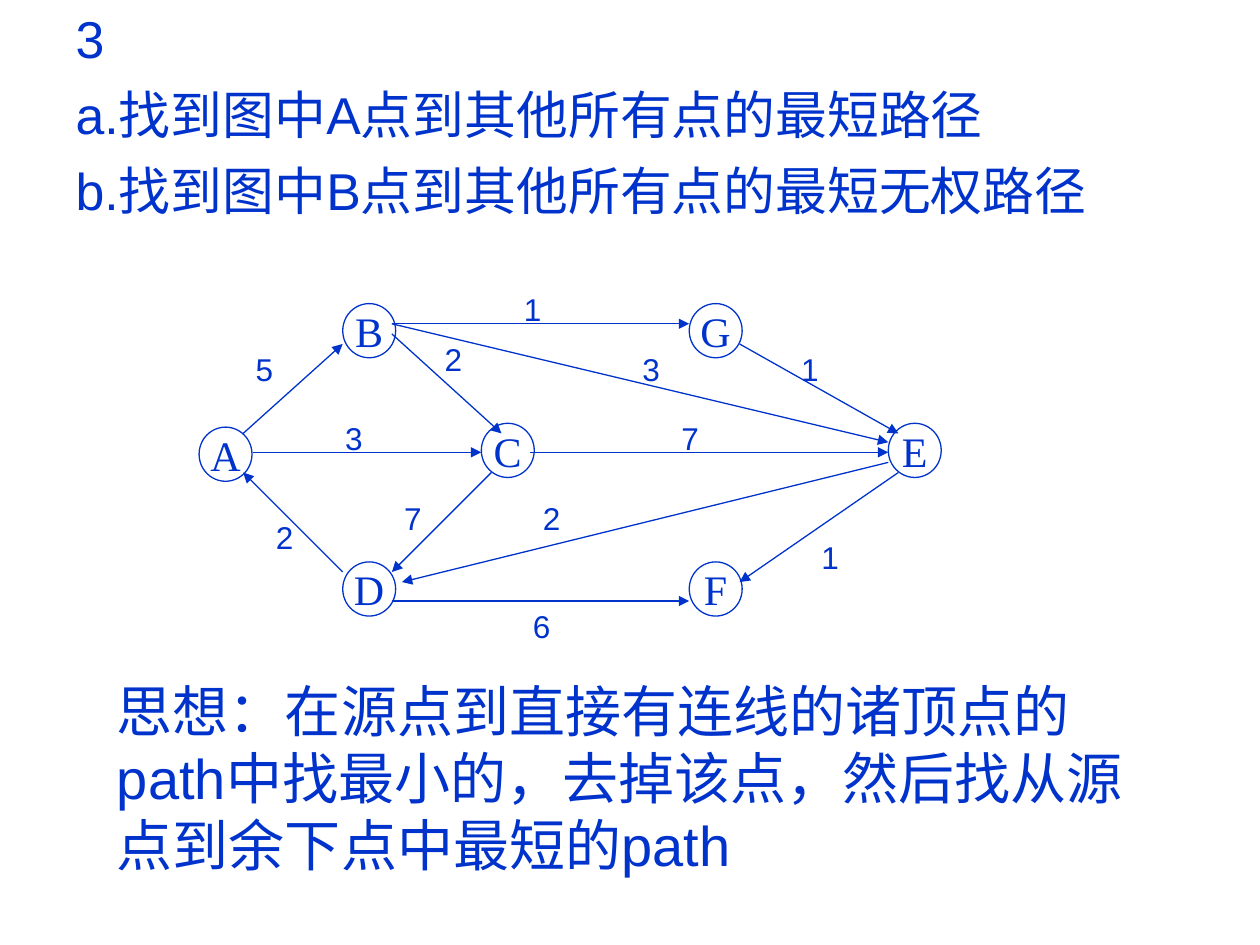
from lxml import etree
from pptx import Presentation
from pptx.dml.color import RGBColor
from pptx.enum.shapes import MSO_CONNECTOR, MSO_SHAPE
from pptx.enum.text import MSO_ANCHOR, MSO_AUTO_SIZE, PP_ALIGN
from pptx.oxml.ns import qn
from pptx.util import Inches, Pt

BLUE = RGBColor(0x00, 0x33, 0xCC)
NODE_WIDTH, NODE_HEIGHT = 0.42, 0.43


def add_text(paragraph, text, size, font="Arial"):
    run = paragraph.add_run()
    run.text = text
    run.font.size = Pt(size)
    run.font.name = font
    run.font.color.rgb = BLUE


def add_text_box(shapes, left, top, width, height, text, size):
    frame = shapes.add_textbox(
        Inches(left), Inches(top), Inches(width), Inches(height)
    ).text_frame
    frame.word_wrap = True
    add_text(frame.paragraphs[0], text, size)


prs = Presentation()
prs.slide_width, prs.slide_height = Inches(10), Inches(7.5)
slide = prs.slides.add_slide(prs.slide_layouts[1])
shapes = slide.shapes
title = shapes.title.element
title.getparent().remove(title)

# Questions
questions = slide.placeholders[1]
questions.left, questions.top = Inches(0.5), Inches(0)
questions.width, questions.height = Inches(9), Inches(2.02)
frame = questions.text_frame
frame.auto_size = MSO_AUTO_SIZE.NONE
frame.vertical_anchor = MSO_ANCHOR.TOP
for i, question in enumerate([
    "3",
    "a.找到图中A点到其他所有点的最短路径",
    "b.找到图中B点到其他所有点的最短无权路径",
]):
    paragraph = frame.add_paragraph() if i else frame.paragraphs[0]
    properties = paragraph._p.get_or_add_pPr()
    properties.set("marL", str(Inches(0.38)))
    properties.set("indent", str(Inches(-0.38)))
    etree.SubElement(properties, qn("a:buNone"))
    paragraph.space_before = Pt(8 if i else 0)
    add_text(paragraph, question, 29.6)

# Graph vertices: left, top
vertices = {
    "A": (1.58, 3.39),
    "B": (2.72, 2.41),
    "D": (2.72, 4.46),
    "G": (5.47, 2.41),
    "F": (5.47, 4.46),
    "C": (3.82, 3.36),
    "E": (7.05, 3.36),
}
for letter, (left, top) in vertices.items():
    vertex = shapes.add_shape(
        MSO_SHAPE.OVAL, Inches(left), Inches(top), Inches(NODE_WIDTH), Inches(NODE_HEIGHT)
    )
    vertex.shadow.inherit = False
    vertex.fill.background()
    vertex.line.color.rgb = BLUE
    vertex.line.width = Pt(0.75)
    frame = vertex.text_frame
    frame.word_wrap = False
    frame.vertical_anchor = MSO_ANCHOR.MIDDLE
    frame.paragraphs[0].alignment = PP_ALIGN.CENTER
    add_text(frame.paragraphs[0], letter, 24, "Times New Roman")

# Directed edges: start, end, weight, weight position, weight box width
edges = [
    ((1.93, 3.44), (2.72, 2.73), "5", (1.93, 2.73), 0.31),
    ((2.72, 4.54), (1.93, 3.75), "2", (2.09, 4.06), 0.39),
    ((2.01, 3.59), (3.82, 3.59), "3", (2.64, 3.28), 0.55),
    ((3.11, 2.65), (3.98, 3.44), "2", (3.43, 2.65), 0.39),
    ((3.90, 3.75), (3.11, 4.54), "7", (3.11, 3.91), 0.32),
    ((4.21, 3.59), (7.05, 3.59), "7", (5.31, 3.28), 0.71),
    ((3.11, 2.57), (5.47, 2.57), "1", (4.06, 2.25), 0.55),
    ((5.87, 2.73), (7.13, 3.44), "1", (6.26, 2.73), 0.55),
    ((3.11, 2.57), (7.05, 3.51), "3", (5.00, 2.73), 0.31),
    ((3.11, 4.77), (5.47, 4.77), "6", (4.13, 4.77), 1.02),
    ((7.05, 3.67), (3.19, 4.62), "2", (4.21, 3.91), 0.55),
    ((7.13, 3.75), (5.87, 4.62), "1", (6.42, 4.22), 0.47),
]
for start, end, weight, (left, top), width in edges:
    edge = shapes.add_connector(
        MSO_CONNECTOR.STRAIGHT, *[Inches(value) for value in start + end]
    )
    edge.line.color.rgb = BLUE
    edge.line.width = Pt(0.75)
    etree.SubElement(edge.line._get_or_add_ln(), qn("a:tailEnd"), type="triangle")
    etree.SubElement(edge._element.spPr, qn("a:effectLst"))
    add_text_box(shapes, left, top, width, 0.4, weight, 18)

# Idea behind the solution
add_text_box(
    shapes, 0.83, 5.32, 8.35, 1.7,
    "思想：在源点到直接有连线的诸顶点的 path中找最小的，去掉该点，然后找从源点到余下点中最短的path",
    32,
)

prs.save("out.pptx")
